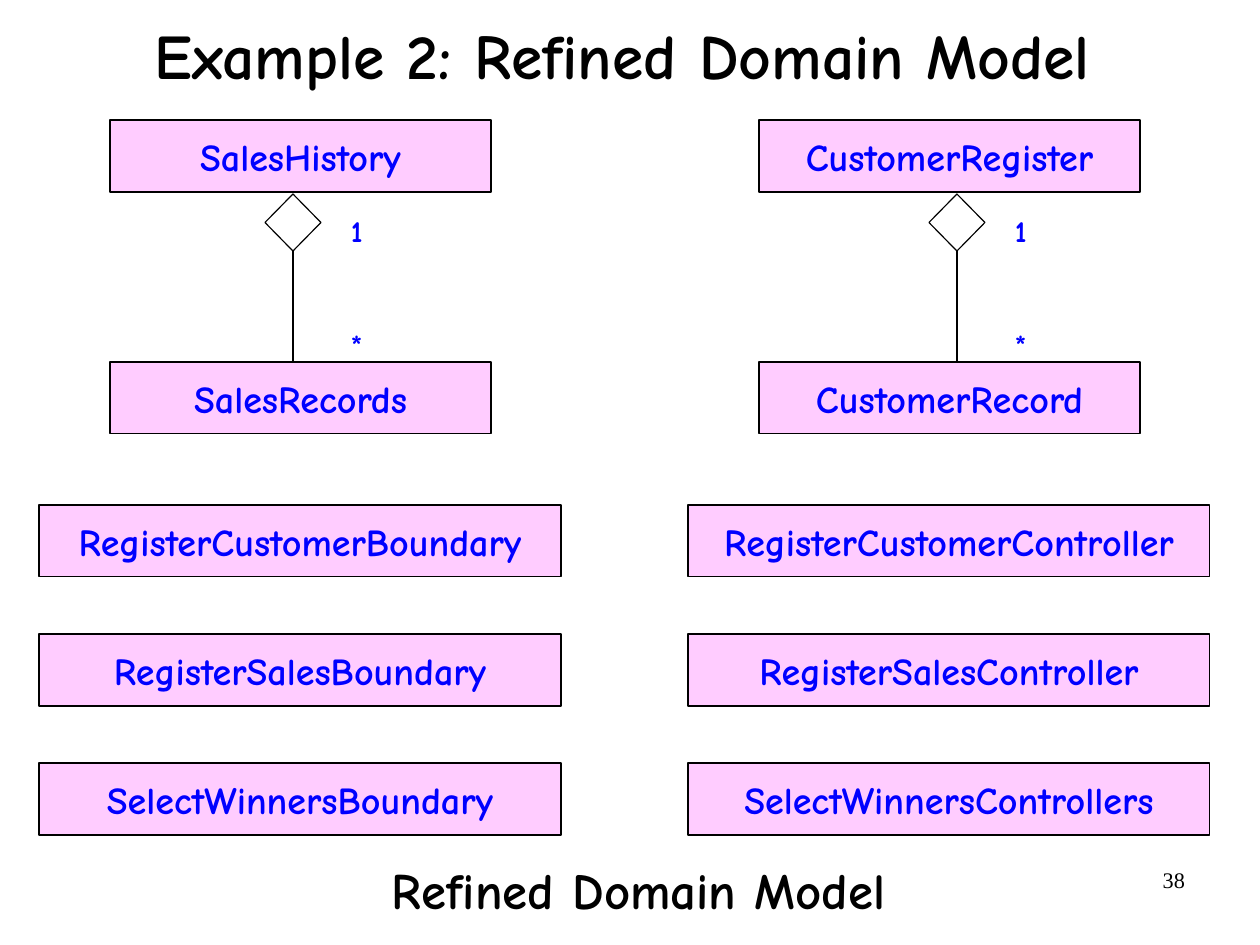
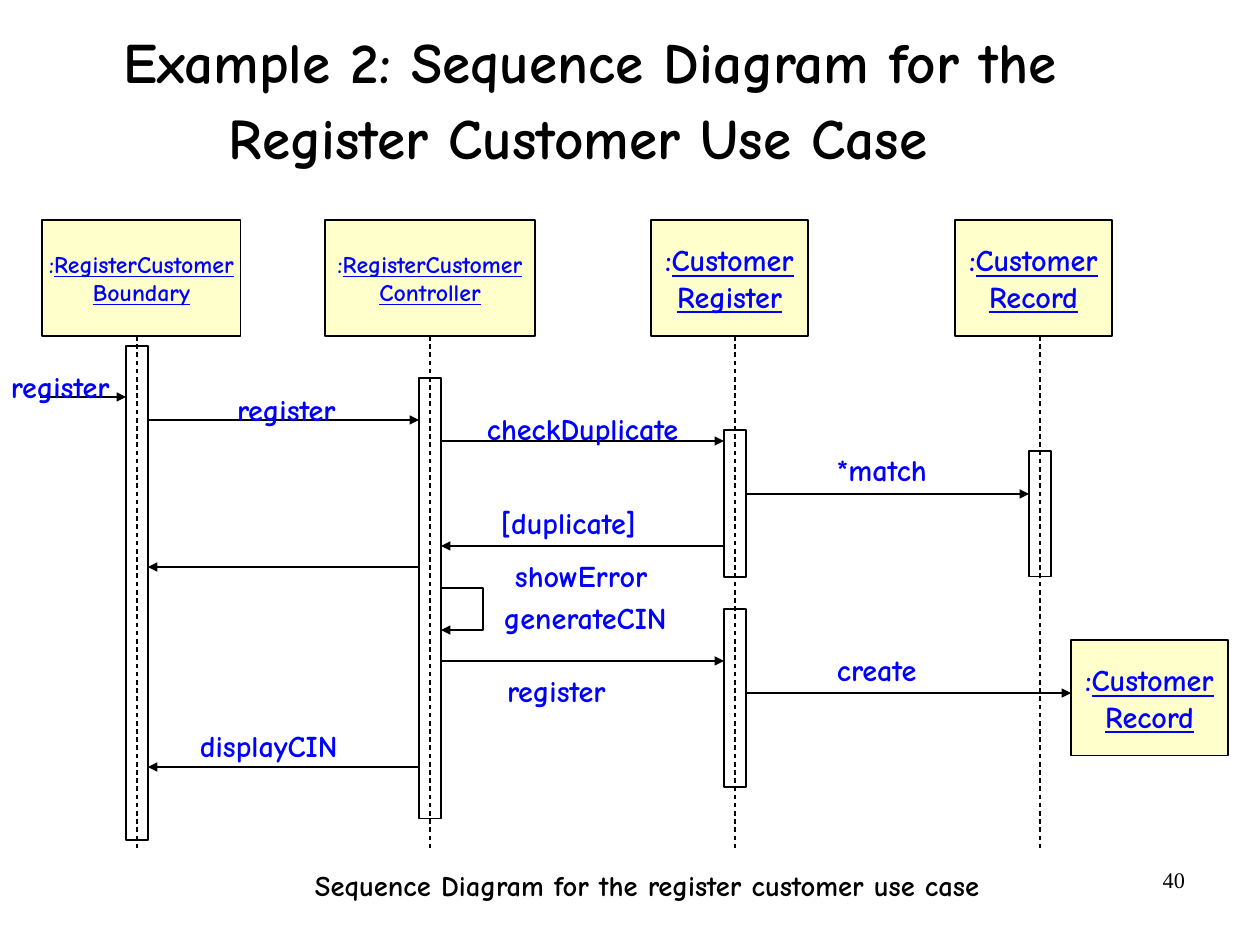
import copy
from dataclasses import dataclass

import pptx
import pptx.dml.color
import pptx.enum.dml
import pptx.enum.shapes
import pptx.enum.text
import pptx.oxml.ns
import pptx.util
from lxml import etree

PX = 8000
SHAPES = pptx.enum.shapes.MSO_SHAPE
ALIGN = pptx.enum.text.PP_ALIGN
ANCHOR = pptx.enum.text.MSO_ANCHOR


@dataclass(frozen=True)
class Theme:
    font: str = "Comic Neue"
    page_font: str = "Times New Roman"
    black: str = "000000"
    blue: str = "0000FF"
    pink: str = "FFCCFF"
    cream: str = "FFFFCC"
    line_width: float = 0.75
    class_size: int = 24
    label_size: int = 19
    small_size: int = 15
    page_size: int = 14
    title_sizes: tuple = (40, 36)
    title_end_size: int = 44
    caption_sizes: tuple = (32, 18)


theme = Theme()


def add_box(slide, kind, bounds, text="", size=theme.label_size, color=theme.blue,
            fill=None, outline=True, align=ALIGN.CENTER, anchor=ANCHOR.MIDDLE,
            wrap=True, space_before=0, font=theme.font, bold=True):
    bounds = [value * PX for value in bounds]
    if outline:
        shape = slide.shapes.add_shape(kind, *bounds)
        shape.shadow.inherit = False
        shape.line.color.rgb = pptx.dml.color.RGBColor.from_string(theme.black)
        shape.line.width = pptx.util.Pt(theme.line_width)
        shape.fill.background()
        if fill:
            shape.fill.solid()
            shape.fill.fore_color.rgb = pptx.dml.color.RGBColor.from_string(fill)
    else:
        shape = slide.shapes.add_textbox(*bounds)
    if not text:
        return shape
    frame = shape.text_frame
    frame.margin_left = frame.margin_right = frame.margin_top = frame.margin_bottom = 0
    frame.vertical_anchor = anchor
    frame.word_wrap = wrap
    if not wrap:
        frame.auto_size = pptx.enum.text.MSO_AUTO_SIZE.SHAPE_TO_FIT_TEXT
    frame.text = text
    for paragraph in frame.paragraphs:
        paragraph.alignment = align
        paragraph.space_before = pptx.util.Pt(space_before)
        for run in paragraph.runs:
            run.font.name = font
            run.font.size = pptx.util.Pt(size)
            run.font.bold = bold
            run.font.color.rgb = pptx.dml.color.RGBColor.from_string(color)
    return shape


def add_line(slide, start_x, start_y, end_x, end_y, dashed=False, arrow=False):
    line = slide.shapes.add_connector(
        pptx.enum.shapes.MSO_CONNECTOR.STRAIGHT,
        start_x * PX, start_y * PX, end_x * PX, end_y * PX)
    line.line.color.rgb = pptx.dml.color.RGBColor.from_string(theme.black)
    line.line.width = pptx.util.Pt(theme.line_width)
    if dashed:
        line.line.dash_style = pptx.enum.dml.MSO_LINE.DASH
    if arrow:
        etree.SubElement(line.line._get_or_add_ln(), pptx.oxml.ns.qn("a:tailEnd"), type="triangle")
    etree.SubElement(line._element.spPr, pptx.oxml.ns.qn("a:effectLst"))
    return line


presentation = pptx.Presentation()
presentation.slide_width = 1260 * PX
presentation.slide_height = 945 * PX

pages = [
    ("Example 2: Refined Domain Model", (87, -23, 1071, 162), 8.1,
     "Refined Domain Model", (392, 859, 500, 60), "38"),
    ("Example 2: Sequence Diagram for the Register Customer Use Case", (55, -7, 1071, 221), 13.6,
     "Sequence Diagram for the register customer use case", (315, 868, 675, 34), "40"),
]
slides = []
titles = []
for page, title_size, caption_size in zip(pages, theme.title_sizes, theme.caption_sizes):
    title, title_bounds, title_space, caption, caption_bounds, number = page
    slide = presentation.slides.add_slide(presentation.slide_layouts[6])
    shape = add_box(slide, None, title_bounds, title, title_size, theme.black,
                    outline=False, space_before=title_space)
    shape.text_frame.paragraphs[0].line_spacing = 0.94
    add_box(slide, None, caption_bounds, caption, caption_size, theme.black,
            outline=False, align=ALIGN.LEFT, anchor=ANCHOR.TOP, wrap=False)
    add_box(slide, None, (914, 866, 271, 54), number, theme.page_size, theme.black,
            outline=False, align=ALIGN.RIGHT, anchor=ANCHOR.TOP, font=theme.page_font, bold=False)
    slides.append(slide)
    titles.append(shape)

domain_slide, sequence_slide = slides

trailing_run = titles[1].text_frame.paragraphs[0].add_run()
trailing_run.text = " "
trailing_run.font.name = theme.font
trailing_run.font.size = pptx.util.Pt(theme.title_end_size)
trailing_run.font.bold = True

class_columns = [
    (0, 293, ["SalesHistory", "SalesRecords"],
     ["RegisterCustomerBoundary", "RegisterSalesBoundary", "SelectWinnersBoundary"]),
    (649, 957, ["CustomerRegister", "CustomerRecord"],
     ["RegisterCustomerController", "RegisterSalesController", "SelectWinnersControllers"]),
]
for offset, center, entities, handlers in class_columns:
    classes = [(110, 120 + 242 * row, 381, name) for row, name in enumerate(entities)]
    classes += [(39, 505 + 129 * row, 522, name) for row, name in enumerate(handlers)]
    for left, top, width, name in classes:
        add_box(domain_slide, SHAPES.RECTANGLE, (left + offset, top, width, 72), name,
                theme.class_size, fill=theme.pink, space_before=11.2)
    diamond = add_box(domain_slide, SHAPES.DIAMOND, (center - 28, 194, 56, 57))
    link = add_line(domain_slide, center, 251, center, 362)
    link.begin_connect(diamond, 2)
    for top, multiplicity in [(212, "1"), (326, "*")]:
        add_box(domain_slide, None, (center + 58, top, 16, 36), multiplicity,
                outline=False, align=ALIGN.LEFT, anchor=ANCHOR.TOP, wrap=False)

objects = [
    (42, 220, 199, "RegisterCustomer\nBoundary", theme.small_size),
    (325, 220, 210, "RegisterCustomer\nController", theme.small_size),
    (651, 220, 157, "Customer\nRegister", theme.label_size),
    (955, 220, 157, "Customer\nRecord", theme.label_size),
    (1071, 640, 157, "Customer\nRecord", theme.label_size),
]
object_boxes = []
for left, top, width, name, size in objects:
    shape = add_box(sequence_slide, SHAPES.RECTANGLE, (left, top, width, 116), name, size,
                    fill=theme.cream)
    for paragraph in shape.text_frame.paragraphs:
        paragraph.runs[0].font.underline = True
    first_paragraph = shape.text_frame.paragraphs[0]
    name_run = first_paragraph.runs[0]._r
    name_run.addprevious(copy.deepcopy(name_run))
    colon_run = first_paragraph.runs[0]
    colon_run.text = ":"
    colon_run.font.underline = False
    object_boxes.append(shape)

boundary, controller, register, record = 137, 430, 735, 1040
half_bar = 11
lifelines = [
    (boundary, [(346, 494)]),
    (controller, [(378, 441)]),
    (register, [(430, 147), (609, 178)]),
    (record, [(451, 126)]),
]
for (center, bars), header in zip(lifelines, object_boxes):
    lifeline = add_line(sequence_slide, center, 336, center, 850, dashed=True)
    if header.left + header.width // 2 == center * PX:
        lifeline.begin_connect(header, 2)
    for top, height in bars:
        add_box(sequence_slide, SHAPES.RECTANGLE, (center - half_bar, top, 2 * half_bar, height))

messages = [
    (40, boundary - half_bar, 397),
    (boundary + half_bar, controller - half_bar, 420),
    (controller + half_bar, register - half_bar, 441),
    (register + half_bar, record - half_bar, 494),
    (register - half_bar, controller + half_bar, 546),
    (controller - half_bar, boundary + half_bar, 567),
    (controller + half_bar, register - half_bar, 661),
    (register + half_bar, 1071, 693),
    (controller - half_bar, boundary + half_bar, 767),
]
for start, end, height in messages:
    add_line(sequence_slide, start, height, end, height, arrow=True)

builder = sequence_slide.shapes.build_freeform(441, 588, scale=PX)
builder.add_line_segments([(483, 588), (483, 630), (441, 630)], close=False)
self_call = builder.convert_to_shape()
self_call.shadow.inherit = False
self_call.fill.background()
self_call.line.color.rgb = pptx.dml.color.RGBColor.from_string(theme.black)
self_call.line.width = pptx.util.Pt(theme.line_width)
etree.SubElement(self_call.line._get_or_add_ln(), pptx.oxml.ns.qn("a:tailEnd"), type="triangle")

message_labels = [
    (11, 368, 104, "register"),
    (237, 391, 104, "register"),
    (487, 410, 197, "checkDuplicate"),
    (837, 451, 94, "*match"),
    (501, 504, 140, "[duplicate]"),
    (515, 557, 138, "showError"),
    (504, 599, 169, "generateCIN"),
    (507, 672, 104, "register"),
    (837, 651, 86, "create"),
    (200, 727, 150, "displayCIN"),
]
for left, top, width, label in message_labels:
    add_box(sequence_slide, None, (left, top, width, 36), label,
            outline=False, align=ALIGN.LEFT, anchor=ANCHOR.TOP, wrap=False)

presentation.save("out.pptx")
